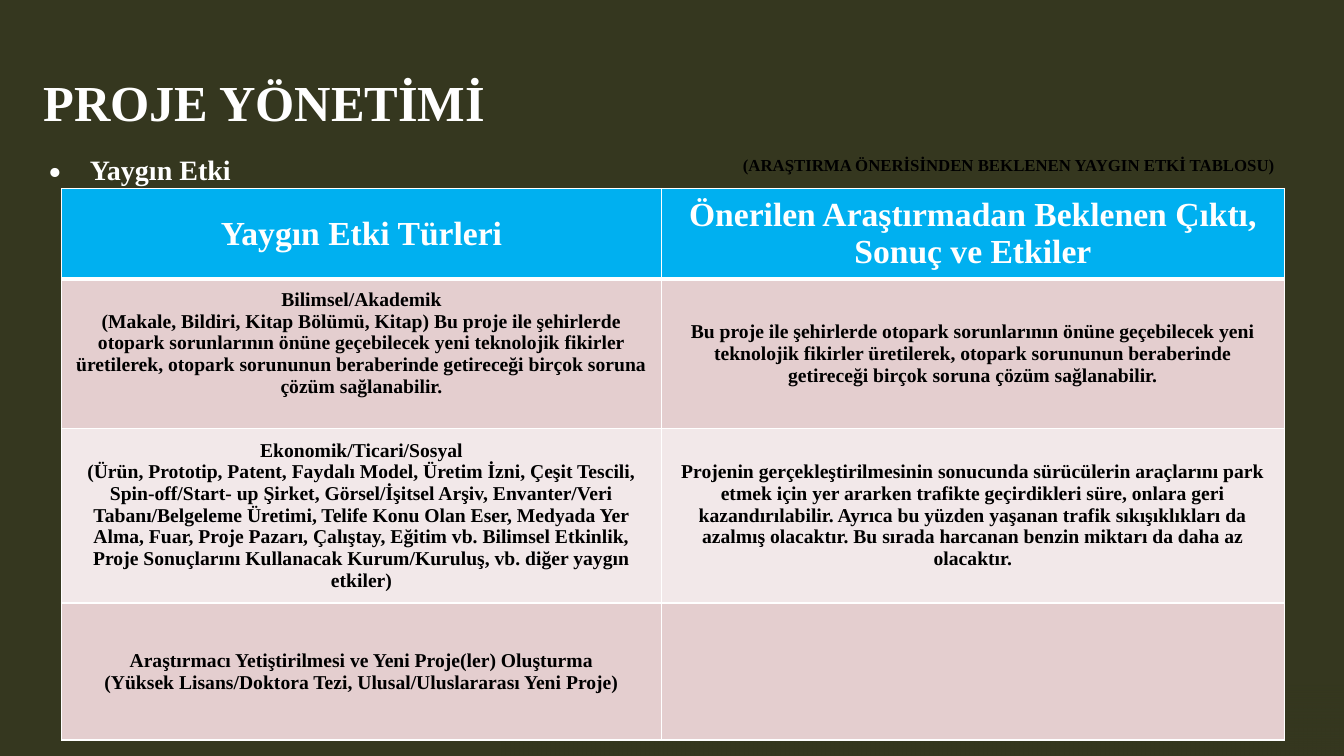
from dataclasses import dataclass

from lxml.etree import SubElement
from pptx import Presentation
from pptx.dml.color import RGBColor
from pptx.enum.shapes import MSO_SHAPE
from pptx.enum.text import MSO_ANCHOR, PP_ALIGN
from pptx.oxml.ns import qn
from pptx.util import Inches, Pt

WIDTH, HEIGHT = Inches(13.33), Inches(7.5)
FONT = "Times New Roman"
OLIVE, WHITE, BLACK = "35371F", "FFFFFF", "000000"
SKY, ROSE, BLUSH = "00B0F0", "E4CECF", "F2E8E9"
COLUMN_SHARES = [44.64, 46.34]


@dataclass
class Area:
    """A rectangle in percent of the slide's width and height."""
    left: float
    top: float
    width: float
    height: float

    def box(self) -> tuple:
        """Return the rectangle in slide units."""
        return across(self.left), down(self.top), across(self.width), down(self.height)


@dataclass
class Label:
    """A line of text that stands alone on the slide."""
    text: str
    area: Area
    size: int
    color: str
    left_inset: float = 0
    inset: float = 0
    anchor: MSO_ANCHOR = MSO_ANCHOR.BOTTOM
    space_after: int = 6
    bullet: str = ""


@dataclass
class ImpactRow:
    """A table row with its height share, look and cell texts."""
    height: float
    fill: str
    texts: tuple
    size: int = 14
    color: str = BLACK
    top_line: float = 1
    bottom_line: float = 1
    first_bottom_inset: float = 0.05


LABELS = [
    Label("PROJE YÖNETİMİ", Area(2.25, 8, 35.1, 9.47), 36, WHITE, left_inset=0.13),
    Label("Yaygın Etki", Area(3.68, 16.8, 28.95, 7.87), 20, WHITE, bullet="⦁"),
    Label("(ARAŞTIRMA ÖNERİSİNDEN BEKLENEN YAYGIN ETKİ TABLOSU)",
          Area(54.54, 19.87, 41.78, 6.67), 12, BLACK, left_inset=0.1, inset=0.05,
          anchor=MSO_ANCHOR.TOP, space_after=0),
]

SOLUTION = ("Bu proje ile şehirlerde otopark sorunlarının önüne geçebilecek yeni teknolojik "
            "fikirler üretilerek, otopark sorununun beraberinde getireceği birçok soruna "
            "çözüm sağlanabilir.")

IMPACT_ROWS = [
    ImpactRow(11.2, SKY, ("Yaygın Etki Türleri",
                          "Önerilen Araştırmadan Beklenen Çıktı, Sonuç ve Etkiler"),
              size=24, color=WHITE, bottom_line=3),
    ImpactRow(18.53, ROSE, (
        f"Bilimsel/Akademik\n(Makale, Bildiri, Kitap Bölümü, Kitap) {SOLUTION}", SOLUTION),
        top_line=3, first_bottom_inset=0.26),
    ImpactRow(21.4, BLUSH, (
        "Ekonomik/Ticari/Sosyal\n"
        "(Ürün, Prototip, Patent, Faydalı Model, Üretim İzni, Çeşit Tescili, "
        "Spin-off/Start- up Şirket, Görsel/İşitsel Arşiv, Envanter/Veri Tabanı/Belgeleme "
        "Üretimi, Telife Konu Olan Eser, Medyada Yer Alma, Fuar, Proje Pazarı, Çalıştay, "
        "Eğitim vb. Bilimsel Etkinlik, Proje Sonuçlarını Kullanacak Kurum/Kuruluş, "
        "vb. diğer yaygın etkiler)",
        "Projenin gerçekleştirilmesinin sonucunda sürücülerin araçlarını park etmek için "
        "yer ararken trafikte geçirdikleri süre, onlara geri kazandırılabilir. Ayrıca bu "
        "yüzden yaşanan trafik sıkışıklıkları da azalmış olacaktır. Bu sırada harcanan "
        "benzin miktarı da daha az olacaktır.")),
    ImpactRow(18.13, ROSE, (
        "Araştırmacı Yetiştirilmesi ve Yeni Proje(ler) Oluşturma\n"
        "(Yüksek Lisans/Doktora Tezi, Ulusal/Uluslararası Yeni Proje)", "")),
]


def across(share: float) -> int:
    """Turn a percentage of the slide's width into a length."""
    return round(WIDTH * share / 100)


def down(share: float) -> int:
    """Turn a percentage of the slide's height into a length."""
    return round(HEIGHT * share / 100)


def paint(color_format, color: str) -> None:
    """Set a colour from a hex string."""
    color_format.rgb = RGBColor.from_string(color)


def fill_solid(fill, color: str) -> None:
    """Fill with one colour."""
    fill.solid()
    paint(fill.fore_color, color)


def style_text(frame, size: int, color: str) -> None:
    """Give every run of a text frame the slide's bold face."""
    for paragraph in frame.paragraphs:
        for run in paragraph.runs:
            run.font.name, run.font.size, run.font.bold = FONT, Pt(size), True
            paint(run.font.color, color)


def add_panel(slide, area: Area):
    """Add a plain rectangle without line or shadow."""
    panel = slide.shapes.add_shape(MSO_SHAPE.RECTANGLE, *area.box())
    panel.shadow.inherit = False
    panel.line.fill.background()
    return panel


def add_fade(slide, area: Area) -> None:
    """Add a rectangle that fades along its height."""
    fill = add_panel(slide, area).fill
    fill.gradient()
    fill.gradient_angle = 270
    for stop, position, opacity in zip(fill.gradient_stops, (0.4, 1), (0, 60)):
        stop.position = position
        paint(stop.color, OLIVE)
    for color, opacity in zip(fill._xPr.iter(qn("a:srgbClr")), (0, 60)):
        SubElement(color, qn("a:alpha"), val=str(opacity * 1000))


def add_label(slide, label: Label) -> None:
    """Add a text box, bulleted if the label asks for it."""
    frame = slide.shapes.add_textbox(*label.area.box()).text_frame
    frame.word_wrap = True
    frame.vertical_anchor = label.anchor
    frame.margin_left = Inches(label.left_inset)
    frame.margin_right = Inches(label.inset)
    frame.margin_top = frame.margin_bottom = Inches(label.inset)
    frame.text = label.text
    paragraph = frame.paragraphs[0]
    paragraph.space_after = Pt(label.space_after)
    if label.bullet:
        properties = paragraph._p.get_or_add_pPr()
        properties.set("marL", str(Inches(0.4)))
        properties.set("indent", str(Inches(-0.4)))
        SubElement(properties, qn("a:buFont"), typeface=FONT)
        SubElement(properties, qn("a:buChar"), char=label.bullet)
    style_text(frame, label.size, label.color)


def add_borders(cell, row: ImpactRow) -> None:
    """Draw white lines on the four sides of a cell."""
    properties = cell._tc.get_or_add_tcPr()
    sides = {"a:lnL": 1, "a:lnR": 1, "a:lnT": row.top_line, "a:lnB": row.bottom_line}
    for index, (side, width) in enumerate(sides.items()):
        line = SubElement(properties, qn(side), w=str(Pt(width)))
        SubElement(SubElement(line, qn("a:solidFill")), qn("a:srgbClr"), val=WHITE)
        properties.insert(index, line)


def add_impact_table(slide, area: Area) -> None:
    """Add the table of expected impacts."""
    table = slide.shapes.add_table(len(IMPACT_ROWS), len(COLUMN_SHARES), *area.box()).table
    for column, share in zip(table.columns, COLUMN_SHARES):
        column.width = across(share)
    for table_row, row in zip(table.rows, IMPACT_ROWS):
        table_row.height = down(row.height)
        for cell, text in zip(table_row.cells, row.texts):
            cell.text_frame.text = text
            cell.vertical_anchor = MSO_ANCHOR.MIDDLE
            for paragraph in cell.text_frame.paragraphs:
                paragraph.alignment = PP_ALIGN.CENTER
            style_text(cell.text_frame, row.size, row.color)
            fill_solid(cell.fill, row.fill)
            add_borders(cell, row)
        table_row.cells[0].margin_bottom = Inches(row.first_bottom_inset)


def main() -> None:
    """Build and save the slide."""
    presentation = Presentation()
    presentation.slide_width, presentation.slide_height = WIDTH, HEIGHT
    slide = presentation.slides.add_slide(presentation.slide_layouts[6])
    fill_solid(slide.background.fill, OLIVE)
    fill_solid(add_panel(slide, Area(0, 0, 100, 100)).fill, OLIVE)
    add_fade(slide, Area(37.35, 84.13, 62.65, 15.87))
    title, heading, caption = LABELS
    add_label(slide, title)
    add_label(slide, heading)
    table_height = sum(row.height for row in IMPACT_ROWS)
    add_impact_table(slide, Area(4.58, 24.93, sum(COLUMN_SHARES), table_height))
    add_label(slide, caption)
    presentation.save("out.pptx")


if __name__ == "__main__":
    main()
